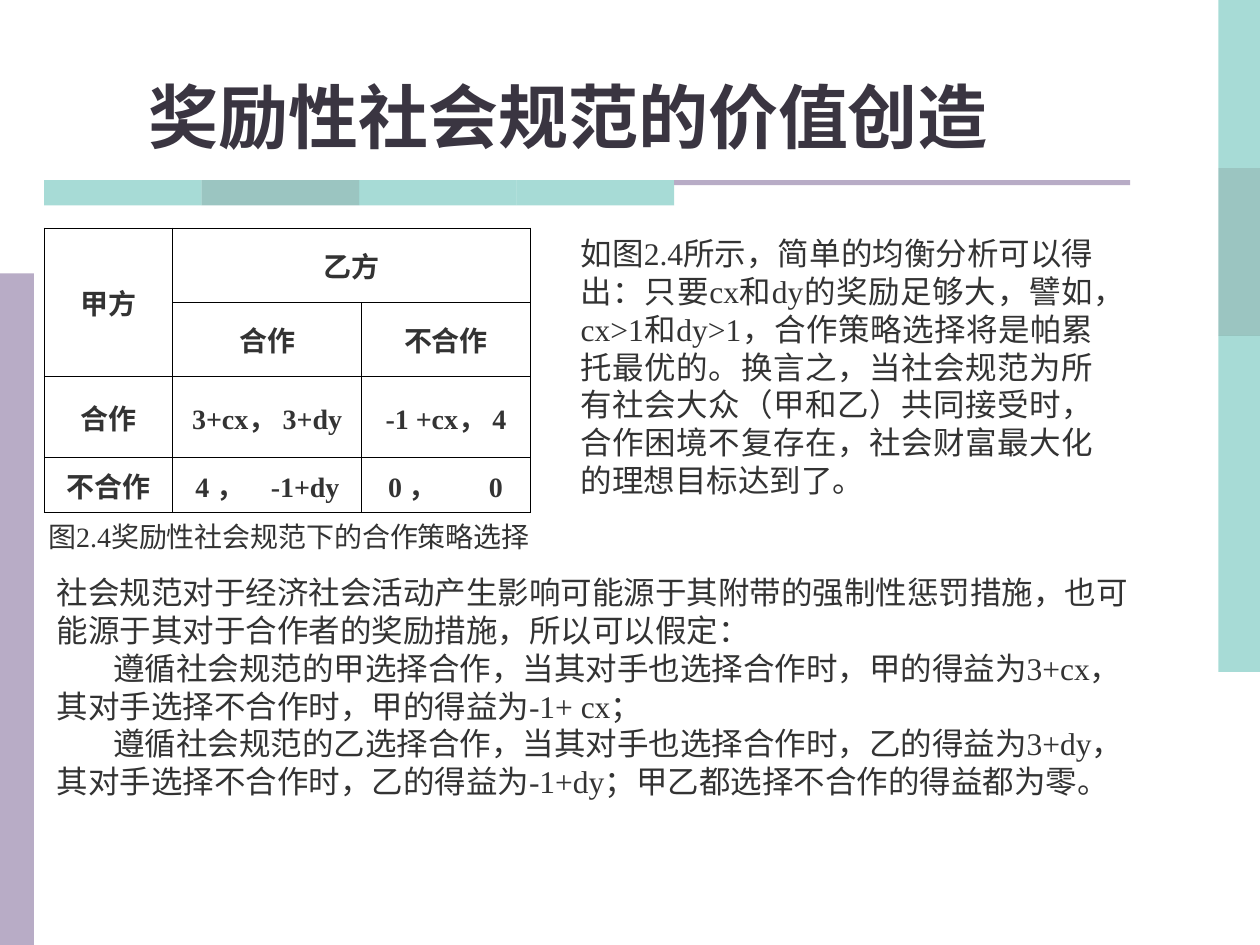
"""Build the slide on the value created by rewarding social norms."""
from lxml import etree
from pptx import Presentation
from pptx.dml.color import RGBColor
from pptx.enum import shapes, text
from pptx.oxml import ns
from pptx.util import Inches, Pt

FONT = "Times New Roman"
TEAL = RGBColor(0x51, 0xB9, 0xAF)
DARK_TEAL = RGBColor(0x39, 0x8D, 0x85)
LILAC = RGBColor(0xB8, 0xAC, 0xC6)
INK = RGBColor(0x33, 0x33, 0x33)
TITLE_INK = RGBColor(0x3A, 0x35, 0x41)
BAND_COLORS = [TEAL, DARK_TEAL, TEAL, TEAL]

TITLE = "奖励性社会规范的价值创造"
CAPTION = "图2.4奖励性社会规范下的合作策略选择"
ANALYSIS = (
    "如图2.4所示，简单的均衡分析可以得出：只要cx和dy的奖励足够大，譬如，cx>1和dy>1，"
    "合作策略选择将是帕累托最优的。换言之，当社会规范为所有社会大众（甲和乙）共同接受时，"
    "合作困境不复存在，社会财富最大化的理想目标达到了。"
)
ASSUMPTIONS = [
    "社会规范对于经济社会活动产生影响可能源于其附带的强制性惩罚措施，也可能源于其对于合作者的奖励措施，所以可以假定：",
    "遵循社会规范的甲选择合作，当其对手也选择合作时，甲的得益为3+cx，其对手选择不合作时，甲的得益为-1+ cx；",
    "遵循社会规范的乙选择合作，当其对手也选择合作时，乙的得益为3+dy，其对手选择不合作时，乙的得益为-1+dy；甲乙都选择不合作的得益都为零。",
]
PAYOFFS = [
    ["甲方", "乙方", ""],
    ["", "合作", "不合作"],
    ["合作", "3+cx， 3+dy", "-1 +cx， 4"],
    ["不合作", "4 ，\t-1+dy", "0 ，\t0"],
]
MERGES = [((0, 0), (1, 0)), ((0, 1), (0, 2))]
COLUMN_WIDTHS = [1.02, 1.5, 1.34]
ROW_HEIGHTS = [0.59, 0.59, 0.64, 0.44]
TABBED_CELLS = {(3, 1): (0.18, 0.6), (3, 2): (0.21, 0.8)}


def add_bar(slide, left, top, width, height, color, alpha=None):
    bar = slide.shapes.add_shape(
        shapes.MSO_SHAPE.RECTANGLE, Inches(left), Inches(top), Inches(width), Inches(height))
    bar.shadow.inherit = False
    bar.line.fill.background()
    bar.fill.solid()
    bar.fill.fore_color.rgb = color
    if alpha:
        color_element = bar.fill._xPr.find(".//" + ns.qn("a:srgbClr"))
        etree.SubElement(color_element, ns.qn("a:alpha"), val=str(alpha * 1000))


def write_text(frame, content, size=18, color=INK, bold=False, align="LEFT", indent=0, tab=None):
    paragraphs = [content] if isinstance(content, str) else content
    for index, line in enumerate(paragraphs):
        paragraph = frame.paragraphs[0] if index == 0 else frame.add_paragraph()
        paragraph.text = line
        paragraph.alignment = text.PP_ALIGN[align]
        properties = paragraph._p.get_or_add_pPr()
        if index and indent:
            properties.set("indent", str(Inches(indent)))
        if tab:
            tabs = etree.SubElement(properties, ns.qn("a:tabLst"))
            etree.SubElement(tabs, ns.qn("a:tab"), pos=str(Inches(tab)), algn="l")
        for run in paragraph.runs:
            run.font.name = FONT
            run.font.size = Pt(size)
            run.font.bold = bold
            run.font.color.rgb = color


def add_text(slide, left, top, width, height, content, anchor="TOP", **text_format):
    box = slide.shapes.add_textbox(Inches(left), Inches(top), Inches(width), Inches(height))
    frame = box.text_frame
    frame.word_wrap = True
    frame.vertical_anchor = text.MSO_ANCHOR[anchor]
    write_text(frame, content, **text_format)


def add_borders(cell):
    properties = cell._tc.get_or_add_tcPr()
    for side in ("lnL", "lnR", "lnT", "lnB"):
        line = etree.SubElement(properties, ns.qn("a:" + side), w=str(Pt(0.45)))
        fill = etree.SubElement(line, ns.qn("a:solidFill"))
        etree.SubElement(fill, ns.qn("a:srgbClr"), val="000000")


def add_payoff_table(slide, left, top):
    frame = slide.shapes.add_table(
        len(ROW_HEIGHTS), len(COLUMN_WIDTHS), Inches(left), Inches(top),
        Inches(sum(COLUMN_WIDTHS)), Inches(sum(ROW_HEIGHTS)))
    table = frame.table
    table.first_row = table.horz_banding = False
    for column, width in zip(table.columns, COLUMN_WIDTHS):
        column.width = Inches(width)
    for row, height in zip(table.rows, ROW_HEIGHTS):
        row.height = Inches(height)
    for start, end in MERGES:
        table.cell(*start).merge(table.cell(*end))
    for row, values in enumerate(PAYOFFS):
        for column, value in enumerate(values):
            cell = table.cell(row, column)
            add_borders(cell)
            cell.fill.background()
            cell.vertical_anchor = text.MSO_ANCHOR.MIDDLE
            margin, tab = TABBED_CELLS.get((row, column), (0.1, None))
            cell.margin_left = Inches(margin)
            if tab:
                cell.margin_right = 0
            write_text(cell.text_frame, value, size=16, bold=True,
                       align="LEFT" if tab else "CENTER", tab=tab)


def main():
    presentation = Presentation()
    presentation.slide_width = Inches(10)
    presentation.slide_height = Inches(7.5)
    slide = presentation.slides.add_slide(presentation.slide_layouts[6])

    for index, color in enumerate(BAND_COLORS):
        add_bar(slide, 9.67, index * 4 / 3, 0.33, 4 / 3, color, alpha=50)
        add_bar(slide, 0.35 + index * 1.25, 1.43, 1.25, 0.2, color, alpha=50)
    add_bar(slide, 0, 2.17, 0.27, 5.33, LILAC)
    add_bar(slide, 5.35, 1.43, 3.62, 0.04, LILAC)

    add_text(slide, 0.22, 4.07, 4.15, 0.37, CAPTION, anchor="MIDDLE", size=16, align="CENTER")
    add_payoff_table(slide, 0.35, 1.81)
    add_text(slide, 0.35, 4.5, 8.82, 1.9, ASSUMPTIONS, indent=0.45)
    add_text(slide, 0, 0.44, 9.02, 0.86, TITLE, anchor="BOTTOM", size=40,
             color=TITLE_INK, bold=True, align="CENTER")
    add_text(slide, 4.51, 1.81, 4.27, 2.2, ANALYSIS, align="JUSTIFY")
    presentation.save("out.pptx")


if __name__ == "__main__":
    main()
